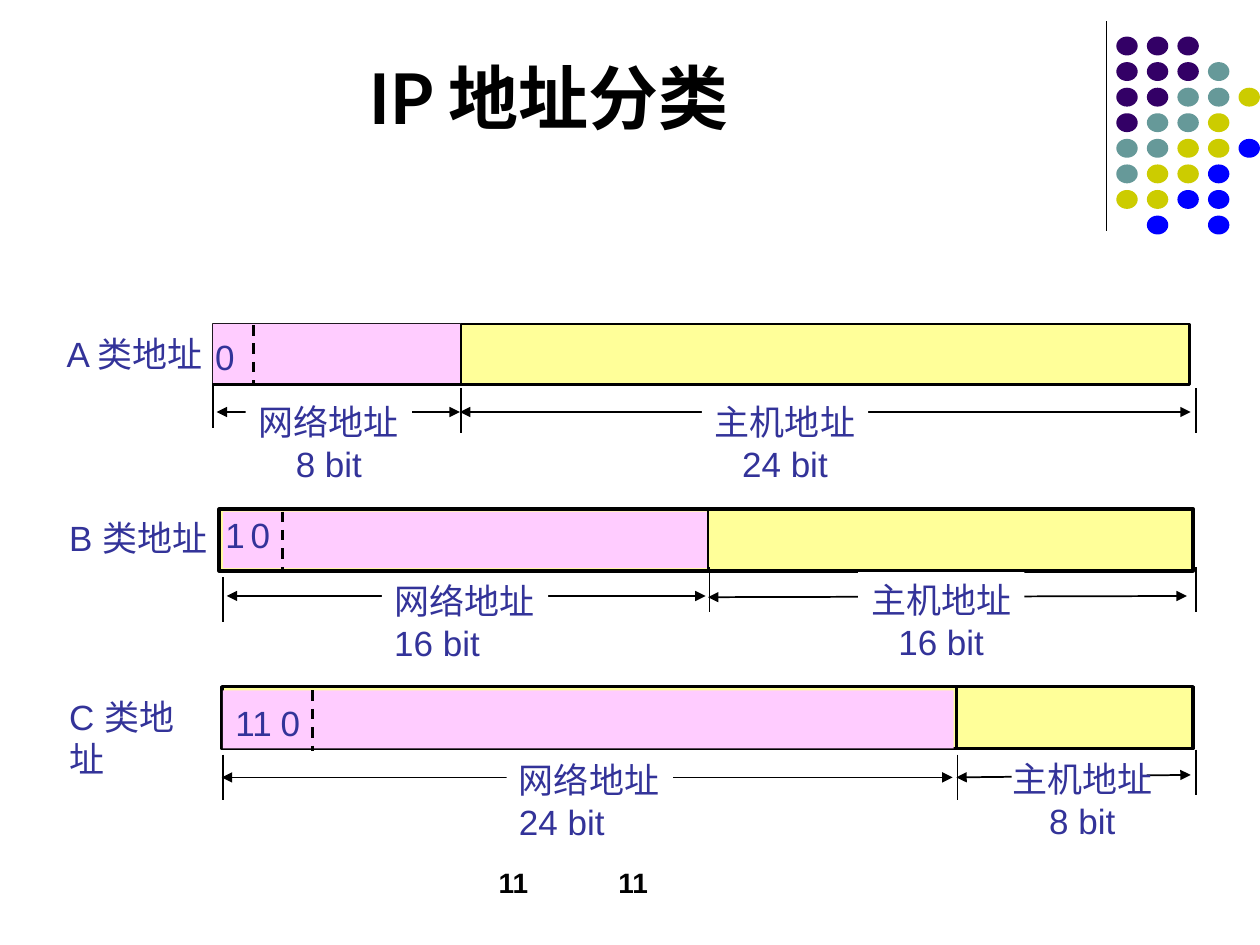
"""Build the slide on the three IP address classes."""
from dataclasses import dataclass
from typing import Optional

from lxml import etree
from pptx import Presentation
from pptx.dml.color import RGBColor
from pptx.enum.dml import MSO_LINE
from pptx.enum.shapes import MSO_CONNECTOR, MSO_SHAPE
from pptx.enum.text import MSO_ANCHOR, PP_ALIGN
from pptx.oxml.ns import qn
from pptx.util import Inches, Pt

STRAIGHT = MSO_CONNECTOR.STRAIGHT
RECTANGLE, OVAL = MSO_SHAPE.RECTANGLE, MSO_SHAPE.OVAL
LEFT, CENTER = PP_ALIGN.LEFT, PP_ALIGN.CENTER
TOP, BOTTOM = MSO_ANCHOR.TOP, MSO_ANCHOR.BOTTOM
DASH = MSO_LINE.DASH

BLACK = RGBColor(0x00, 0x00, 0x00)
WHITE = RGBColor(0xFF, 0xFF, 0xFF)
INDIGO = RGBColor(0x33, 0x33, 0x99)
YELLOW = RGBColor(0xFF, 0xFF, 0x99)
PINK = RGBColor(0xFF, 0xCC, 0xFF)
DOT_COLORS = {
    "P": RGBColor(0x33, 0x00, 0x66),
    "T": RGBColor(0x66, 0x99, 0x99),
    "Y": RGBColor(0xCC, 0xCC, 0x00),
    "B": RGBColor(0x00, 0x00, 0xFF),
}
DOT_ROWS = ("PPP", "PPPT", "PPTTY", "PTTY", "TTYYB", "TYYB", "YYBB", " B B")
TICK_LENGTH = 0.36


@dataclass(frozen=True)
class Box:
    left: float
    top: float
    width: float
    height: float


@dataclass(frozen=True)
class Rule:
    x1: float
    y1: float
    x2: float
    y2: float


@dataclass(frozen=True)
class Field:
    name: str
    bits: str
    arrow: Rule
    left: float
    top: float
    align: PP_ALIGN = CENTER
    mask: Optional[Box] = None


@dataclass(frozen=True)
class AddressClass:
    label: str
    label_left: float
    label_top: float
    bar: Box
    border: float
    network: Box
    prefix: tuple[tuple[str, float], ...]
    prefix_top: float
    prefix_end: Rule
    divider: Rule
    ticks: tuple[tuple[float, float], ...]
    fields: tuple[Field, ...]


ADDRESS_CLASSES = (
    AddressClass(
        "A 类地址", 0.43, 2.59, Box(1.69, 2.57, 7.75, 0.48), 1.5,
        Box(1.69, 2.57, 1.97, 0.47), (("0", 1.61),), 2.61,
        Rule(2.01, 2.58, 2.01, 3.04), Rule(3.66, 2.57, 3.66, 3.06),
        ((1.69, 3.04), (3.66, 3.08), (9.49, 3.08)),
        (Field("网络地址", "8 bit", Rule(1.72, 3.27, 3.65, 3.27), 1.95, 3.13),
         Field("主机地址", "24 bit", Rule(3.65, 3.27, 9.45, 3.27), 5.57, 3.13)),
    ),
    AddressClass(
        "B 类地址", 0.45, 4.05, Box(1.74, 4.04, 7.73, 0.49), 2,
        Box(1.77, 4.06, 3.84, 0.45), (("1", 1.69), ("0", 1.89)), 4.03,
        Rule(2.24, 4.06, 2.24, 4.55), Rule(5.62, 4.05, 5.62, 4.52),
        ((1.77, 4.58), (5.63, 4.5), (9.49, 4.5)),
        (Field("网络地址", "16 bit", Rule(1.8, 4.73, 5.6, 4.73), 3.03, 4.55, LEFT),
         Field("主机地址", "16 bit", Rule(5.62, 4.74, 9.42, 4.73), 6.81, 4.54)),
    ),
    AddressClass(
        "C 类地址", 0.45, 5.47, Box(1.76, 5.45, 7.71, 0.49), 2,
        Box(1.77, 5.48, 5.8, 0.46), (("11", 1.77), ("0", 2.13)), 5.52,
        Rule(2.48, 5.48, 2.48, 5.96), Rule(7.59, 5.45, 7.59, 5.93),
        ((1.77, 5.99), (7.6, 5.99), (9.49, 5.95)),
        (Field("网络地址", "24 bit", Rule(1.76, 6.17, 7.56, 6.17), 4.02, 5.97, LEFT),
         Field("主机地址", "8 bit", Rule(7.59, 6.17, 9.45, 6.15), 7.93, 5.96,
               mask=Box(8.03, 6.05, 1.07, 0.25))),
    ),
)


def add_block(shapes, box: Box, fill: RGBColor, border: float = 0, kind=RECTANGLE) -> None:
    block = shapes.add_shape(kind, Inches(box.left), Inches(box.top),
                             Inches(box.width), Inches(box.height))
    block.shadow.inherit = False
    block.fill.solid()
    block.fill.fore_color.rgb = fill
    if border:
        block.line.color.rgb = BLACK
        block.line.width = Pt(border)
    else:
        block.line.fill.background()


def add_rule(shapes, rule: Rule, width: float, dash: Optional[MSO_LINE] = None,
             arrows: bool = False) -> None:
    line = shapes.add_connector(STRAIGHT, Inches(rule.x1), Inches(rule.y1),
                                Inches(rule.x2), Inches(rule.y2))
    line.line.color.rgb = BLACK
    line.line.width = Pt(width)
    if dash is not None:
        line.line.dash_style = dash
    if arrows:
        outline = line.line._get_or_add_ln()
        for end in ("a:headEnd", "a:tailEnd"):
            etree.SubElement(outline, qn(end), type="triangle")
    etree.SubElement(line._element.spPr, qn("a:effectLst"))


def add_text(shapes, box: Box, lines: tuple[str, ...], size: float = 20,
             color: RGBColor = INDIGO, font: str = "Arial", bold: bool = False,
             align: PP_ALIGN = LEFT, anchor: MSO_ANCHOR = TOP, wrap: bool = True) -> None:
    frame = shapes.add_textbox(Inches(box.left), Inches(box.top),
                               Inches(box.width), Inches(box.height)).text_frame
    frame.word_wrap = wrap
    frame.vertical_anchor = anchor
    frame.text = "\n".join(lines)
    for paragraph in frame.paragraphs:
        paragraph.alignment = align
        paragraph.font.name = font
        paragraph.font.size = Pt(size)
        paragraph.font.bold = bold
        paragraph.font.color.rgb = color


def add_field(shapes, field: Field) -> None:
    caption = Box(field.left, field.top, 1.32, 0.77)
    add_rule(shapes, field.arrow, 1, arrows=True)
    add_block(shapes, field.mask or caption, WHITE)
    add_text(shapes, caption, (field.name, field.bits), align=field.align, wrap=False)


def add_address_class(shapes, address: AddressClass) -> None:
    add_block(shapes, address.bar, YELLOW, address.border)
    add_block(shapes, address.network, PINK)
    for field in address.fields:
        add_field(shapes, field)
    add_text(shapes, Box(address.label_left, address.label_top, 1.3, 0.43), (address.label,))
    add_rule(shapes, address.prefix_end, 1.5, DASH)
    add_rule(shapes, address.divider, 1.5)
    for digits, left in address.prefix:
        add_text(shapes, Box(left, address.prefix_top, 0.53, 0.43), (digits,))
    for x, y in address.ticks:
        add_rule(shapes, Rule(x, y, x, y + TICK_LENGTH), 1)


def add_dots(shapes) -> None:
    for row, pattern in enumerate(DOT_ROWS):
        for column, key in enumerate(pattern):
            if key in DOT_COLORS:
                dot = Box(8.86 + 0.2425 * column, 0.29 + 0.203 * row, 0.17, 0.15)
                add_block(shapes, dot, DOT_COLORS[key], kind=OVAL)


def main() -> None:
    deck = Presentation()
    deck.slide_width, deck.slide_height = Inches(10), Inches(7.5)
    shapes = deck.slides.add_slide(deck.slide_layouts[6]).shapes
    add_dots(shapes)
    add_rule(shapes, Rule(8.78, 0.17, 8.78, 1.83), 0.75)
    add_text(shapes, Box(0.09, 0.31, 8.53, 0.84), ("IP 地址分类",), 40, BLACK, "Lato",
             True, CENTER, BOTTOM)
    for address in ADDRESS_CLASSES:
        add_address_class(shapes, address)
    for align in (CENTER, LEFT):
        add_text(shapes, Box(3.86, 6.82, 2.33, 0.5), ("11",), 16, BLACK, bold=True, align=align)
    deck.save("out.pptx")


if __name__ == "__main__":
    main()
